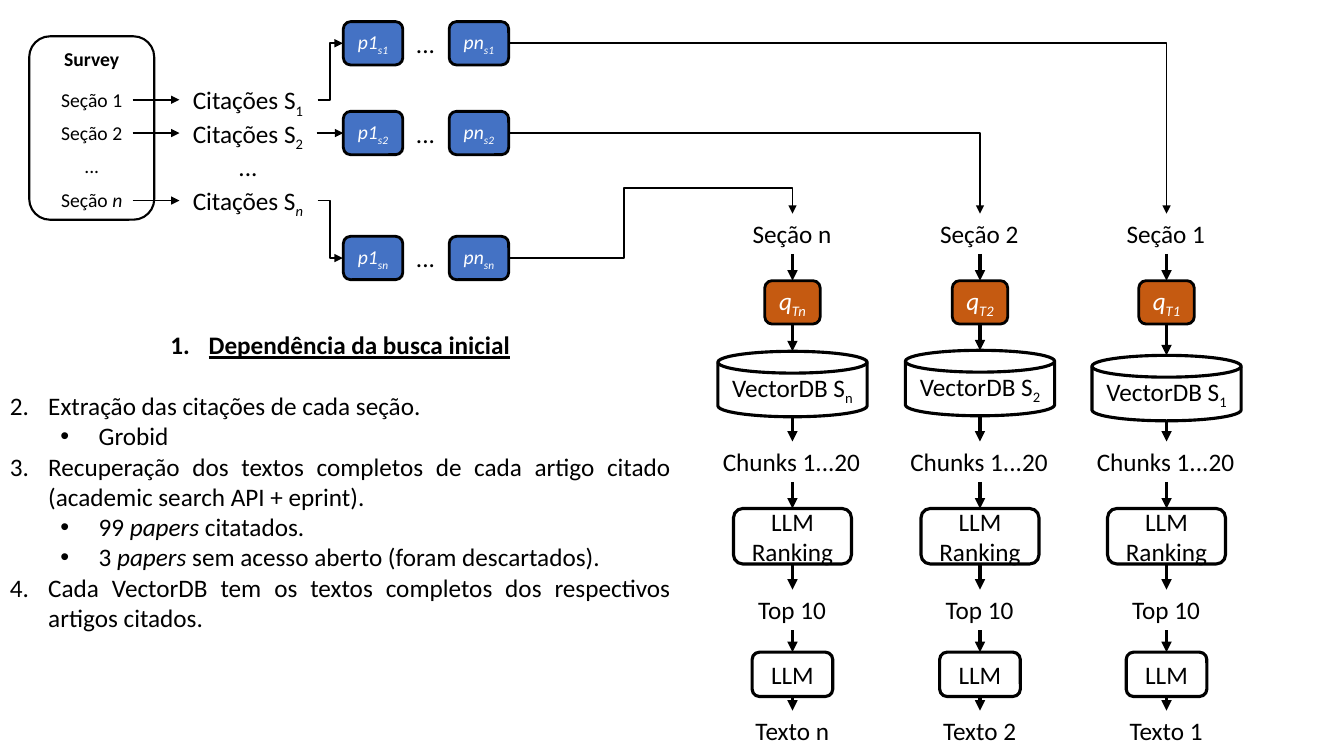
from lxml.etree import SubElement
from pptx import Presentation
from pptx.dml.color import RGBColor
from pptx.enum.shapes import MSO_CONNECTOR as Link, MSO_SHAPE as Shape
from pptx.enum.text import MSO_ANCHOR as Anchor, MSO_AUTO_SIZE as AutoSize, PP_ALIGN as Align
from pptx.oxml.ns import qn
from pptx.util import Inches, Pt

BLACK = RGBColor(0x00, 0x00, 0x00)
WHITE = RGBColor(0xFF, 0xFF, 0xFF)
BLUE = RGBColor(0x44, 0x72, 0xC4)
ORANGE = RGBColor(0xC5, 0x5A, 0x11)
TOP, LEFT, BOTTOM, RIGHT = range(4)

# Survey sections: name, style, row centre, centre of the papers row
SECTIONS = [("1", "", 0.99, 0.43), ("2", "", 1.32, 1.32), ("n", "i", 1.99, 2.56)]
ELLIPSIS_ROW = 1.65

# Pipelines: section, centre, top of the vector database
PIPELINES = [("n", 7.86, 3.48), ("2", 9.72, 3.47), ("1", 11.57, 3.52)]

# Steps: list level, runs as (text, style)
STEPS = [
    (0, [("Dependência da busca inicial", "bu")]),
    (0, [("Extração das citações de cada seção.", "")]),
    (1, [("Grobid", "")]),
    (0, [("Recuperação dos textos completos de cada artigo citado "
          "(academic search API + eprint).", "")]),
    (1, [("99 ", ""), ("papers ", "i"), ("citatados.", "")]),
    (1, [("3 ", ""), ("papers ", "i"), ("sem acesso aberto (foram descartados).", "")]),
    (0, [("Cada VectorDB tem os textos completos dos respectivos artigos citados.", "")]),
]


def write(paragraph, runs, size=18, color=BLACK, align=Align.CENTER):
    """Style letters: b bold, i italic, u underline, s subscript."""
    paragraph.alignment = align
    for text, style in runs:
        run = paragraph.add_run()
        run.text = text
        font = run.font
        font.name, font.size, font.color.rgb = "Calibri", Pt(size), color
        font.bold, font.italic, font.underline = "b" in style, "i" in style, "u" in style
        if "s" in style:
            run._r.get_or_add_rPr().set("baseline", "-25000")


def add_label(shapes, center, middle, width, height, runs, **text_format):
    label = shapes.add_textbox(Inches(center - width / 2), Inches(middle - height / 2),
                               Inches(width), Inches(height))
    label.text_frame.word_wrap = False
    label.text_frame.auto_size = AutoSize.SHAPE_TO_FIT_TEXT
    write(label.text_frame.paragraphs[0], runs, **text_format)
    return label


def add_box(shapes, center, middle, width, height, runs, kind=Shape.ROUNDED_RECTANGLE,
            fill=None, line=2.25, anchor=Anchor.MIDDLE, **text_format):
    box = shapes.add_shape(kind, Inches(center - width / 2), Inches(middle - height / 2),
                           Inches(width), Inches(height))
    box.shadow.inherit = False
    if fill is None:
        box.fill.background()
    else:
        box.fill.solid()
        box.fill.fore_color.rgb = fill
    box.line.color.rgb = BLACK
    box.line.width = Pt(line)
    box.text_frame.vertical_anchor = anchor
    write(box.text_frame.paragraphs[0], runs, **text_format)
    return box


def add_arrow(shapes, start, end, width=1.25, kind=Link.STRAIGHT):
    arrow = shapes.add_connector(kind, *(Inches(length) for length in (*start, *end)))
    arrow.line.color.rgb = BLACK
    arrow.line.width = Pt(width)
    properties = arrow._element.spPr
    SubElement(properties.find(qn("a:ln")), qn("a:tailEnd"), type="triangle")
    SubElement(properties, qn("a:effectLst"))
    return arrow


def add_elbow(shapes, start, end, preset="bentConnector3", **adjustments):
    elbow = add_arrow(shapes, start, end, kind=Link.ELBOW)
    geometry = elbow._element.spPr.find(qn("a:prstGeom"))
    geometry.set("prst", preset)
    guides = geometry.find(qn("a:avLst"))
    for name, value in adjustments.items():
        SubElement(guides, qn("a:gd"), name=name, fmla=f"val {value}")


def join(shapes, source, target, source_side, target_side, width=1.25):
    """Arrow between two shapes; database cylinders are met without a glue point."""
    def point(shape, side):
        across = {LEFT: 0, RIGHT: 1}.get(side, 0.5)
        down = {TOP: 0, BOTTOM: 1}.get(side, 0.5)
        return ((shape.left + shape.width * across) / Inches(1),
                (shape.top + shape.height * down) / Inches(1))

    arrow = add_arrow(shapes, point(source, source_side), point(target, target_side), width)
    for shape, side, connect in ((source, source_side, arrow.begin_connect),
                                 (target, target_side, arrow.end_connect)):
        is_cylinder = (shape._element.spPr.find(qn("a:prstGeom")).get("prst")
                       == "flowChartMagneticDisk")
        if not is_cylinder:
            connect(shape, side)


def add_papers(shapes, section, middle):
    papers = shapes.add_group_shape().shapes
    first, _ = [add_box(papers, center, middle, 0.59, 0.43,
                        [(paper, "i"), (f"s{section}", "is")],
                        fill=BLUE, line=2, size=14, color=WHITE)
                for paper, center in (("p1", 3.7), ("pn", 4.75))]
    add_label(papers, 4.22, middle, 0.39, 0.4, [("...", "")])
    return first


def add_survey(shapes):
    add_box(shapes, 0.91, 1.27, 1.24, 1.82, [("Survey", "b")], fill=WHITE, line=1.5,
            anchor=Anchor.TOP, size=14)
    add_label(shapes, 0.91, ELLIPSIS_ROW, 0.35, 0.34, [("...", "")], size=14)
    add_label(shapes, 2.46, ELLIPSIS_ROW, 0.39, 0.4, [("...", "")])
    for section, style, row, papers_row in SECTIONS:
        name = add_label(shapes, 0.91, row, 0.81, 0.34,
                         [("Seção ", ""), (section, style)], size=14)
        citations = add_label(shapes, 2.46, row, 1.36, 0.4,
                              [("Citações S", ""), (section, style + "s")])
        join(shapes, name, citations, RIGHT, LEFT)
        first_paper = add_papers(shapes, section, papers_row)
        if row == papers_row:
            join(shapes, citations, first_paper, RIGHT, LEFT)
        else:
            add_elbow(shapes, (3.15, row), (3.4, papers_row))


def add_pipeline(shapes, section, center, database_top):
    def label(middle, width, text):
        return add_label(shapes, center, middle, width, 0.4, [(text, "")], align=Align.LEFT)

    stages = [
        label(2.32, 0.99, f"Seção {section}"),
        add_box(shapes, center, 3.0, 0.55, 0.43, [("q", "i"), (f"T{section}", "is")],
                fill=ORANGE, line=2, color=WHITE),
        add_box(shapes, center, database_top + 0.33, 1.48, 0.65,
                [("VectorDB S", ""), (section, "s")], kind=Shape.FLOWCHART_MAGNETIC_DISK),
        label(4.58, 1.58, "Chunks 1...20"),
        add_box(shapes, center, 5.32, 1.17, 0.55, [("LLM Ranking", "")]),
        label(6.05, 0.88, "Top 10"),
        add_box(shapes, center, 6.69, 0.8, 0.44, [("LLM", "")]),
        label(7.25, 0.93, f"Texto {section}"),
    ]
    for source, target in zip(stages, stages[1:]):
        join(shapes, source, target, BOTTOM, TOP, width=2.5)


def add_steps(shapes):
    frame = shapes.add_textbox(Inches(0), Inches(3.22), Inches(6.75), Inches(3.13)).text_frame
    frame.word_wrap = True
    for index, (level, runs) in enumerate(STEPS):
        step = frame.add_paragraph() if index else frame.paragraphs[0]
        write(step, runs, align=Align.JUSTIFY if index else Align.CENTER)
        step.level = level
        if index == 0:
            step.space_after = Pt(22)
        properties = step._p.get_or_add_pPr()
        properties.set("marL", str(Inches(0.38 + 0.5 * level)))
        properties.set("indent", str(Inches(-0.38)))
        if level:
            SubElement(properties, qn("a:buFont"), typeface="Arial")
            SubElement(properties, qn("a:buChar"), char="•")
        else:
            SubElement(properties, qn("a:buFont"), typeface="+mj-lt")
            SubElement(properties, qn("a:buAutoNum"), type="arabicPeriod")


def main():
    deck = Presentation()
    deck.slide_width, deck.slide_height = Inches(13.33), Inches(7.5)
    shapes = deck.slides.add_slide(deck.slide_layouts[6]).shapes

    # Survey, citations and papers
    add_survey(shapes)

    # One pipeline for each section
    for pipeline in PIPELINES:
        add_pipeline(shapes, *pipeline)

    # Papers into their pipelines
    add_elbow(shapes, (5.04, 0.43), (11.57, 2.12), "bentConnector2")
    add_elbow(shapes, (5.04, 1.32), (9.72, 2.12), "bentConnector2")
    add_elbow(shapes, (5.04, 2.56), (7.86, 2.12), "bentConnector4", adj1=40800, adj2=157000)

    # Numbered steps
    add_steps(shapes)
    deck.save("out.pptx")


if __name__ == "__main__":
    main()
